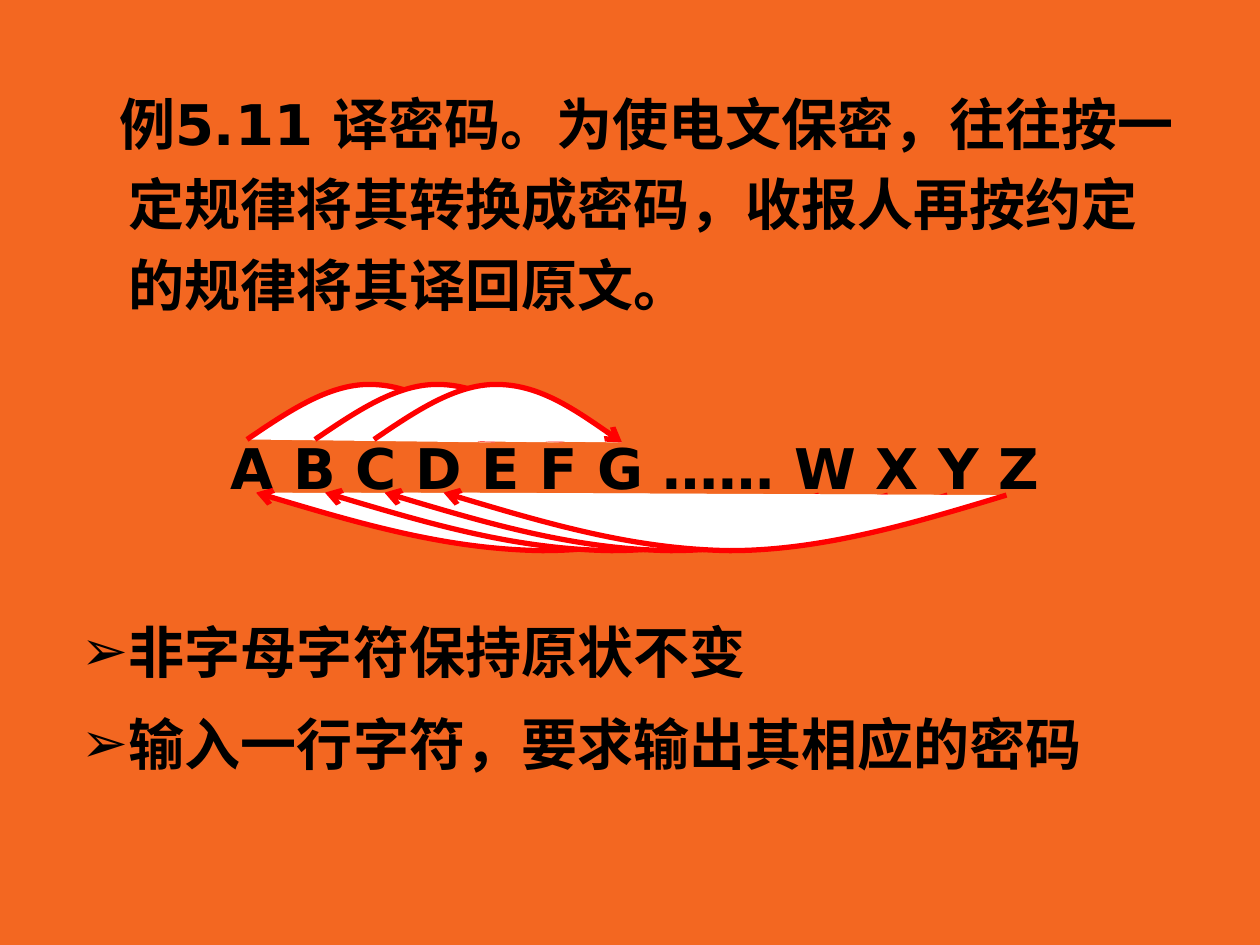
from lxml.etree import SubElement
from pptx import Presentation
from pptx.dml.color import RGBColor as RGB
from pptx.enum.lang import MSO_LANGUAGE_ID as Language
from pptx.enum.text import PP_ALIGN as Align
from pptx.oxml.ns import qn
from pptx.util import Cm, Pt

# Content: text, space before (pt), first-line indent (cm), alignment, bullet
PARAGRAPHS = [
    ("例5.11 译密码。为使电文保密，往往按一定规律将其转换成密码，收报人再按约定的规律将其译回原文。",
     6.4, -0.2, Align.LEFT, None),
    ("A B C D E F G …… W X Y Z", 58.6, -0.95, Align.CENTER, None),
    ("非字母字符保持原状不变", 59.2, -0.95, Align.LEFT, "➢"),
    ("输入一行字符，要求输出其相应的密码", 6.4, -0.95, Align.LEFT, "➢"),
]

# Arc families (cm): left edges, top, turn, and the points of two joined Bezier curves
ARCS = [
    {"lefts": [4.98, 6.35, 7.54], "top": 7.75, "rotation": 0,
     "curve": [(0, 1.11), (0.81, 0.56), (1.63, 0), (2.46, 0),
               (3.3, 0), (4.17, 0.58), (5, 1.17)]},
    {"lefts": [5.16, 6.55, 7.75, 8.94], "top": 9.93, "rotation": 180,
     "curve": [(0, 1.12), (1.85, 0.56), (3.71, 0), (5.58, 0),
               (7.49, 0.03), (9.42, 0.59), (11.35, 1.17)]},
]

THEME = {
    "background": RGB(0xF3, 0x67, 0x21),
    "arc_fill": RGB(0xFF, 0xFF, 0xFF),
    "arc_line": RGB(0xFF, 0, 0),
    "arc_width": Pt(3),
    "text": RGB(0, 0, 0),
    "font": {"name": "DejaVu Sans", "size": Pt(32), "bold": True,
             "language_id": Language.SIMPLIFIED_CHINESE},
}
HANGING = 0.95


def apply(target, values):
    for name, value in values.items():
        setattr(target, name, value)


def add_paragraph(paragraph, text, before, indent, alignment, bullet):
    apply(paragraph, {"alignment": alignment, "line_spacing": 1.2,
                      "space_before": Pt(before)})
    run = paragraph.add_run()
    run.text = text
    apply(run.font, THEME["font"])
    run.font.color.rgb = THEME["text"]
    properties = paragraph._p.get_or_add_pPr()
    properties.set("marL", str(Cm(HANGING)))
    properties.set("indent", str(Cm(indent)))
    if bullet:
        SubElement(properties, qn("a:buFont")).set("typeface", THEME["font"]["name"])
        SubElement(properties, qn("a:buChar")).set("char", bullet)


def curve_segments(shape):
    """Turn every three straight segments into one cubic Bezier curve."""
    path = next(shape._element.iter(qn("a:path")))
    segments = path.findall(qn("a:lnTo"))
    for start in range(0, len(segments), 3):
        curve = SubElement(path, qn("a:cubicBezTo"))
        for segment in segments[start:start + 3]:
            curve.append(segment[0])
            path.remove(segment)


def add_arc(slide, left, top, rotation, curve):
    points = [(Cm(left + x), Cm(top + y)) for x, y in curve]
    builder = slide.shapes.build_freeform(*points[0])
    builder.add_line_segments(points[1:], close=False)
    shape = builder.convert_to_shape()
    curve_segments(shape)
    shape.rotation = rotation
    shape.shadow.inherit = False
    shape.fill.solid()
    shape.fill.fore_color.rgb = THEME["arc_fill"]
    shape.line.color.rgb = THEME["arc_line"]
    shape.line.width = THEME["arc_width"]
    line = shape.line._get_or_add_ln()
    SubElement(line, qn("a:round"))
    SubElement(line, qn("a:tailEnd")).set("type", "arrow")


def main():
    presentation = Presentation()
    apply(presentation, {"slide_width": Cm(25.4), "slide_height": Cm(19.05)})
    slide = presentation.slides.add_slide(presentation.slide_layouts[6])
    background = slide.background.fill
    background.solid()
    background.fore_color.rgb = THEME["background"]

    # Body text
    box = slide.shapes.add_textbox(Cm(1.4), Cm(1.4), Cm(22.81), Cm(15.29))
    frame = box.text_frame
    frame.word_wrap = True
    for index, content in enumerate(PARAGRAPHS):
        paragraph = frame.add_paragraph() if index else frame.paragraphs[0]
        add_paragraph(paragraph, *content)

    # Letter shift arcs above and below the alphabet
    for family in ARCS:
        for left in family["lefts"]:
            add_arc(slide, left, family["top"], family["rotation"], family["curve"])

    presentation.save("out.pptx")


if __name__ == "__main__":
    main()
